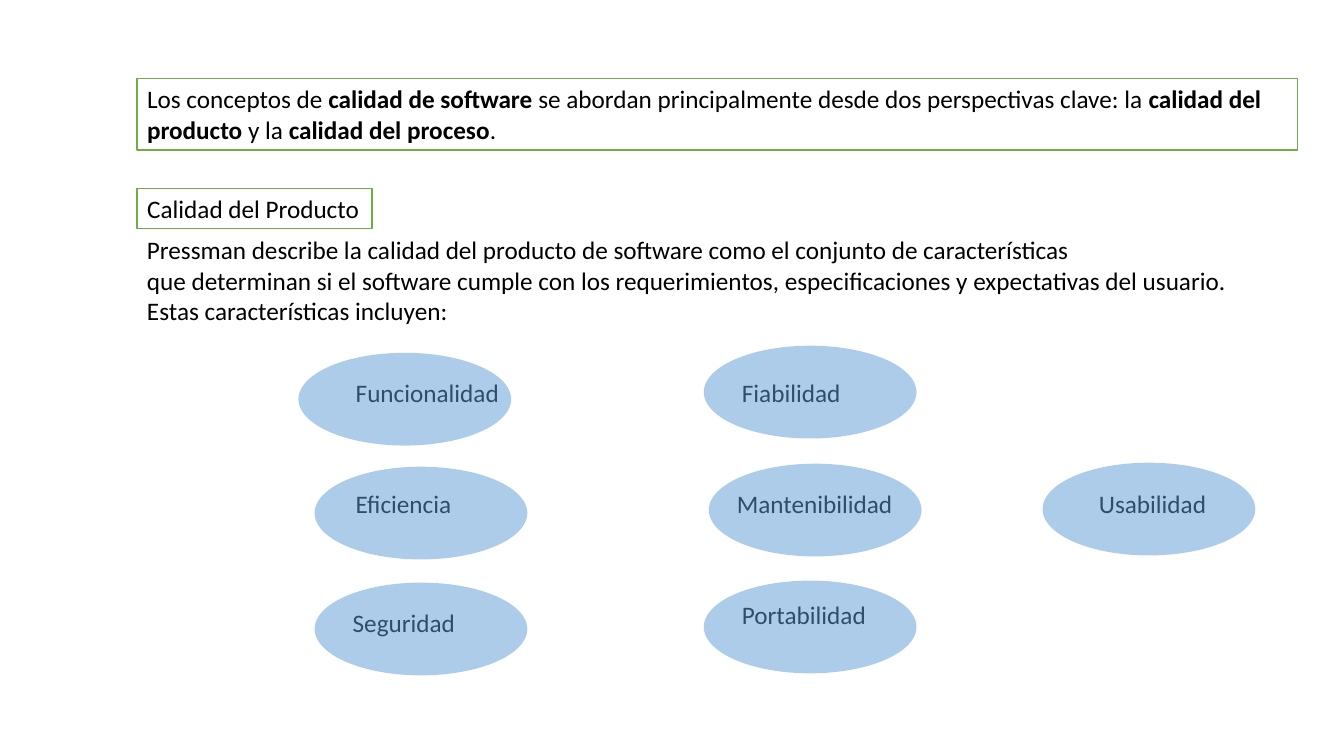
from dataclasses import dataclass

from lxml.etree import SubElement
from pptx import Presentation
from pptx.dml.color import RGBColor
from pptx.enum.shapes import MSO_SHAPE as Preset
from pptx.enum.text import MSO_ANCHOR as Anchor, MSO_AUTO_SIZE as AutoSize, PP_ALIGN as Align
from pptx.oxml.ns import qn
from pptx.shapes.autoshape import Shape
from pptx.slide import Slide
from pptx.util import Inches, Pt


@dataclass(frozen=True)
class Theme:
    font: str = "Calibri"
    text_size: Pt = Pt(18)
    line_width: Pt = Pt(1)
    text: RGBColor = RGBColor(0x00, 0x00, 0x00)
    paper: RGBColor = RGBColor(0xFF, 0xFF, 0xFF)
    frame: RGBColor = RGBColor(0x70, 0xAD, 0x47)
    oval: RGBColor = RGBColor(0x5B, 0x9B, 0xD5)
    oval_opacity: int = 50


@dataclass(frozen=True)
class Span:
    text: str
    bold: bool = False


@dataclass(frozen=True)
class Feature:
    """A quality feature: its label box and the oval laid over it, in inches."""
    name: str
    label_left: float
    label_top: float
    label_width: float
    oval_left: float
    oval_top: float


THEME = Theme()
MARGIN_LEFT = 1.36
LABEL_HEIGHT = 0.4
OVAL_WIDTH, OVAL_HEIGHT = 2.11, 0.92

HEADING = "Calidad del Producto"
INTRO = [
    Span("Los conceptos de "),
    Span("calidad de software", bold=True),
    Span(" se abordan principalmente desde dos perspectivas clave: la "),
    Span("calidad del producto", bold=True),
    Span(" y la "),
    Span("calidad del proceso", bold=True),
    Span("."),
]
DESCRIPTION = [
    "Pressman describe la calidad del producto de software como el conjunto de características",
    "que determinan si el software cumple con los requerimientos, especificaciones y "
    "expectativas del usuario.",
    "Estas características incluyen:",
]
FEATURES = [
    Feature("Funcionalidad", 3.43, 3.69, 1.64, 2.96, 3.5),
    Feature("Fiabilidad", 7.26, 3.69, 1.35, 6.98, 3.43),
    Feature("Eficiencia", 3.43, 4.8, 1.16, 3.12, 4.63),
    Feature("Mantenibilidad", 7.21, 4.8, 1.76, 7.03, 4.6),
    Feature("Usabilidad", 10.8, 4.8, 1.28, 10.34, 4.59),
    Feature("Portabilidad", 7.26, 5.9, 1.55, 6.98, 5.76),
    Feature("Seguridad", 3.4, 5.98, 1.23, 3.12, 5.78),
]


def format_text(box: Shape, wrap: bool) -> None:
    frame = box.text_frame
    frame.word_wrap = wrap
    frame.auto_size = AutoSize.NONE
    frame.vertical_anchor = Anchor.TOP
    for para in frame.paragraphs:
        para.alignment = Align.LEFT
        for span in para.runs:
            span.font.name = THEME.font
            span.font.size = THEME.text_size
            span.font.color.rgb = THEME.text


def frame_box(box: Shape) -> None:
    box.fill.solid()
    box.fill.fore_color.rgb = THEME.paper
    box.line.color.rgb = THEME.frame
    box.line.width = THEME.line_width


def add_intro(page: Slide) -> None:
    box = page.shapes.add_shape(
        Preset.RECTANGLE, Inches(MARGIN_LEFT), Inches(0.78), Inches(11.51), Inches(0.71))
    box.shadow.inherit = False
    frame_box(box)
    para = box.text_frame.paragraphs[0]
    for part in INTRO:
        span = para.add_run()
        span.text = part.text
        span.font.bold = part.bold
    format_text(box, wrap=True)


def place_heading(page: Slide) -> None:
    title = page.shapes.title
    title.left, title.top = Inches(MARGIN_LEFT), Inches(1.87)
    title.width, title.height = Inches(2.33), Inches(LABEL_HEIGHT)
    title.text_frame.text = HEADING
    frame_box(title)
    format_text(title, wrap=True)


def add_text(page: Slide, text: str, left: float, top: float, width: float,
             height: float, wrap: bool) -> None:
    box = page.shapes.add_textbox(Inches(left), Inches(top), Inches(width), Inches(height))
    box.text_frame.text = text
    format_text(box, wrap)


def add_oval(page: Slide, feature: Feature) -> None:
    oval = page.shapes.add_shape(
        Preset.OVAL, Inches(feature.oval_left), Inches(feature.oval_top),
        Inches(OVAL_WIDTH), Inches(OVAL_HEIGHT))
    oval.shadow.inherit = False
    oval.line.fill.background()
    oval.fill.solid()
    oval.fill.fore_color.rgb = THEME.oval
    color = next(oval.element.spPr.iter(qn("a:srgbClr")))
    SubElement(color, qn("a:alpha")).set("val", str(THEME.oval_opacity * 1000))


def main() -> None:
    deck = Presentation()
    deck.slide_width, deck.slide_height = Inches(13.33), Inches(7.5)
    page = deck.slides.add_slide(deck.slide_layouts.get_by_name("Title Only"))

    place_heading(page)
    add_intro(page)
    add_text(page, "\n".join(DESCRIPTION), MARGIN_LEFT, 2.28, 11.1, 1.01, wrap=True)
    for feature in FEATURES:
        add_text(page, feature.name, feature.label_left, feature.label_top,
                 feature.label_width, LABEL_HEIGHT, wrap=False)
        add_oval(page, feature)

    deck.save("out.pptx")


if __name__ == "__main__":
    main()
